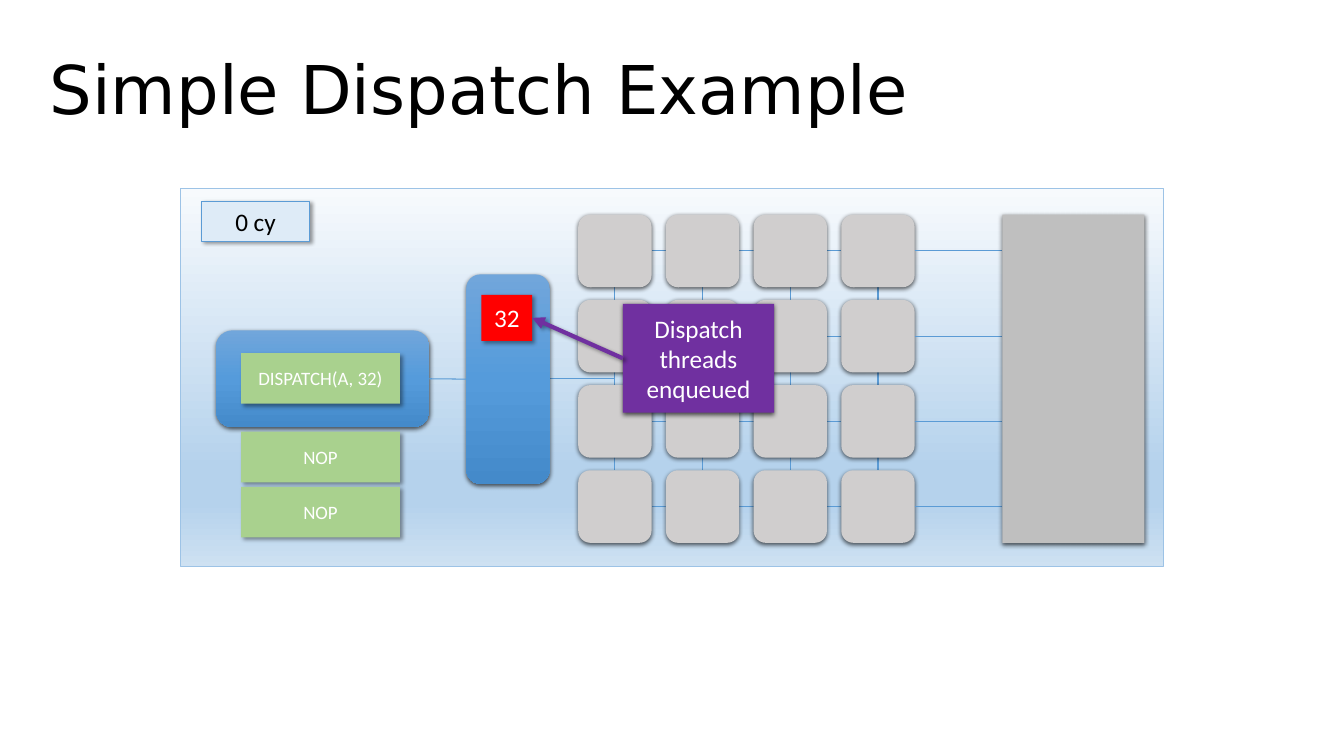
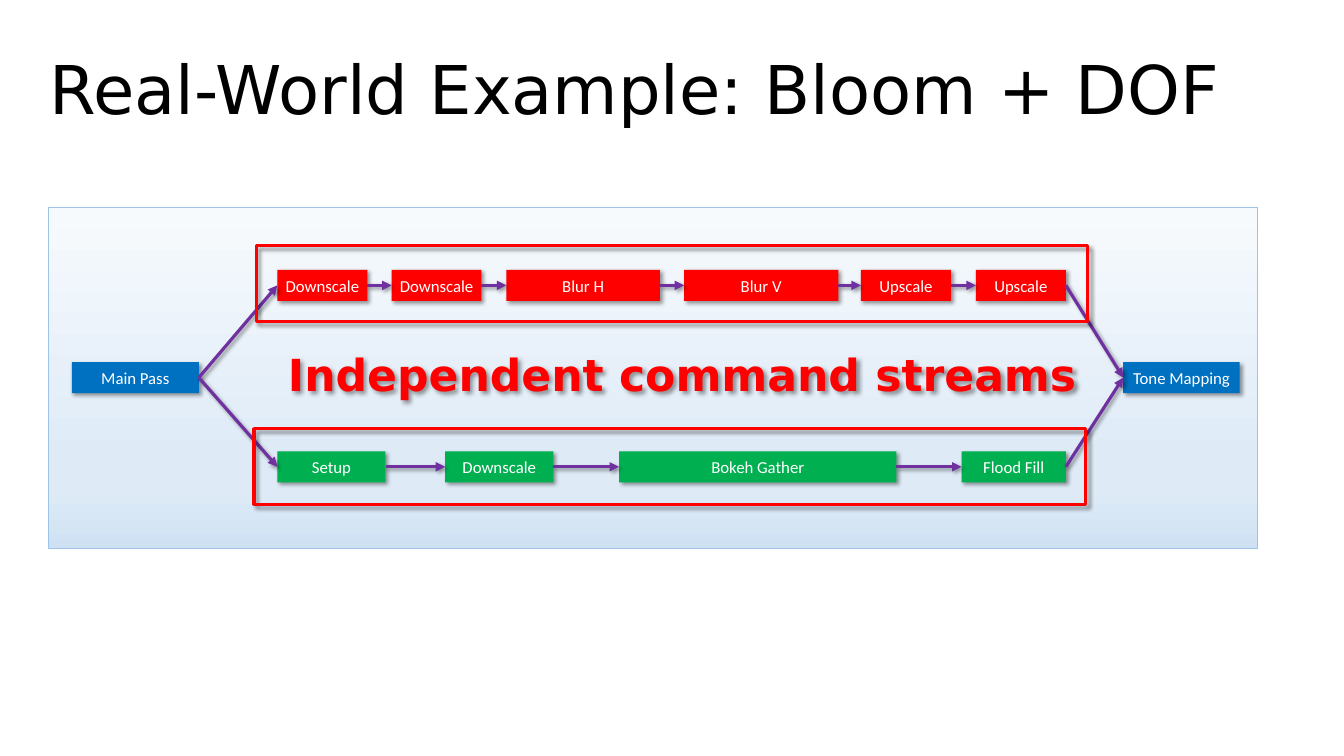
from pptx import Presentation
from pptx.dml.color import RGBColor
from pptx.enum.shapes import MSO_CONNECTOR, MSO_SHAPE
from pptx.enum.text import MSO_ANCHOR, PP_ALIGN
from pptx.oxml import parse_xml
from pptx.oxml.ns import nsdecls, qn
from pptx.util import Inches, Pt

BLACK = RGBColor(0x00, 0x00, 0x00)
WHITE = RGBColor(0xFF, 0xFF, 0xFF)
RED = RGBColor(0xFF, 0x00, 0x00)
GREEN = RGBColor(0x00, 0xB0, 0x50)
BLUE = RGBColor(0x00, 0x70, 0xC0)
PURPLE = RGBColor(0x70, 0x30, 0xA0)
WIRE = RGBColor(0x5B, 0x9B, 0xD5)
PANEL_EDGE = RGBColor(0x9D, 0xC3, 0xE6)
PALE_BLUE = RGBColor(0xDE, 0xEB, 0xF7)
COMMAND_GREEN = RGBColor(0xA9, 0xD1, 0x8E)
TILE_GRAY = RGBColor(0xD0, 0xCE, 0xCE)
MEMORY_GRAY = RGBColor(0xBF, 0xBF, 0xBF)

# Gradients run from top to bottom: (percent, colour)
SKY = [(0, "F7FAFD"), (74, "B5D2EC"), (83, "B5D2EC"), (100, "CEE1F2")]
PALE_SKY = [(0, "F7FAFD"), (74, "DEEBF7"), (83, "DEEBF7"), (100, "CEE1F2")]
UNIT_BLUE = [(0, "71A6DB"), (50, "559BDB"), (100, "448ACA")]

# Shadows: (opacity %, blur pt, distance pt, direction in degrees)
BELOW = (63, 4.5, 1.5, 90)
CORNER = (40, 4, 3, 45)

HEAD_FONT = "DejaVu Sans"
BODY_FONT = "Calibri"
RECT = MSO_SHAPE.RECTANGLE
ROUND = MSO_SHAPE.ROUNDED_RECTANGLE
EFFECTS = "<a:effectLst %s>{}</a:effectLst>" % nsdecls("a")
SHADOW = ('<a:outerShdw blurRad="{:.0f}" dist="{:.0f}" dir="{}" rotWithShape="0">'
          '<a:srgbClr val="000000"><a:alpha val="{}"/></a:srgbClr></a:outerShdw>')


def box(s, kind, at, fill=None, line=None, width=1, shadow=None, text="",
        size=16, color=WHITE, font=BODY_FONT, bold=False, align=PP_ALIGN.CENTER):
    """Add a shape, or a text box when kind is None; a list as fill is a gradient."""
    at = [Inches(v) for v in at]
    sp = s.shapes.add_shape(kind, *at) if kind else s.shapes.add_textbox(*at)
    if fill is None:
        sp.fill.background()
    elif isinstance(fill, list):
        sp.fill.gradient()
        sp.fill.gradient_angle = 270
        stops = sp.element.spPr.find(".//" + qn("a:gsLst"))
        stops.clear()
        for pos, rgb in fill:
            stops.append(parse_xml(f'<a:gs {nsdecls("a")} pos="{pos * 1000}">'
                                   f'<a:srgbClr val="{rgb}"/></a:gs>'))
    else:
        sp.fill.solid()
        sp.fill.fore_color.rgb = fill
    if line is None:
        sp.line.fill.background()
    else:
        sp.line.color.rgb = line
        sp.line.width = Pt(width)
    effect = ""
    if shadow:
        alpha, blur, dist, angle = shadow
        effect = SHADOW.format(blur * 12700, dist * 12700, angle * 60000, alpha * 1000)
    sp.element.spPr.append(parse_xml(EFFECTS.format(effect)))
    if text:
        tf = sp.text_frame
        tf.word_wrap = True
        tf.vertical_anchor = MSO_ANCHOR.MIDDLE
        p = tf.paragraphs[0]
        p.text = text
        p.alignment = align
        f = p.runs[0].font
        f.name, f.size, f.bold, f.color.rgb = font, Pt(size), bold, color
    return sp


def link(s, start, end, color=WIRE, width=1, arrow=False):
    """Draw a line; each end is a point (x, y) or a joint (shape, site)."""
    glued = [hasattr(e[0], "shape_id") for e in (start, end)]
    points = [(0, 0) if g else e for g, e in zip(glued, (start, end))]
    c = s.shapes.add_connector(MSO_CONNECTOR.STRAIGHT,
                               *[Inches(v) for point in points for v in point])
    if glued[0]:
        c.begin_connect(*start)
    if glued[1]:
        c.end_connect(*end)
    c.line.color.rgb = color
    c.line.width = Pt(width)
    effect = ""
    if arrow:
        c.element.spPr.find(qn("a:ln")).append(
            parse_xml(f'<a:tailEnd {nsdecls("a")} type="triangle"/>'))
        alpha, blur, dist, angle = CORNER
        effect = SHADOW.format(blur * 12700, dist * 12700, angle * 60000, alpha * 1000)
    c.element.spPr.append(parse_xml(EFFECTS.format(effect)))
    return c


prs = Presentation()
prs.slide_width, prs.slide_height = Inches(17.78), Inches(10)

slides = []
for title, panel, gradient in [
    ("Simple Dispatch Example", (2.39, 2.5, 13, 5), SKY),
    ("Real-World Example: Bloom + DOF", (0.64, 2.75, 16, 4.5), PALE_SKY),
]:
    s = prs.slides.add_slide(prs.slide_layouts[6])
    box(s, None, (0.56, 0.4, 16.83, 1.52), text=title, size=64, color=BLACK,
        font=HEAD_FONT, align=PP_ALIGN.LEFT)
    box(s, RECT, panel, gradient, PANEL_EDGE)
    slides.append(s)

# Slide 1: command front end, thread queue, 4 x 4 cores, memory
s = slides[0]
GRID_X, GRID_Y, STEP_X, STEP_Y = 7.65, 2.84, 1.16, 1.127
TILE_W, TILE_H, MEMORY_X = 0.97, 0.96, 13.26
mid_x = [GRID_X + STEP_X * i + TILE_W / 2 for i in range(4)]
mid_y = [GRID_Y + STEP_Y * i + TILE_H / 2 for i in range(4)]

# Wires lie behind the tiles and are joined to the outer ones
column_wires = [link(s, (x, mid_y[0]), (x, mid_y[3])) for x in mid_x]
row_wires = [link(s, (mid_x[0], y), (mid_x[3], y)) for y in mid_y]
for row in range(4):
    for col in range(4):
        tile = box(s, ROUND, (GRID_X + STEP_X * col, GRID_Y + STEP_Y * row, TILE_W, TILE_H),
                   TILE_GRAY, shadow=BELOW)
        if row == 0:
            column_wires[col].begin_connect(tile, 2)
        if row == 3:
            column_wires[col].end_connect(tile, 0)
        if col == 0:
            row_wires[row].begin_connect(tile, 3)
        if col == 3:
            row_wires[row].end_connect(tile, 1)
            link(s, (tile, 3), (MEMORY_X, mid_y[row]))

link(s, (8.14, 5.01), (6.2, 5.01))
front_end = box(s, ROUND, (2.86, 4.37, 2.82, 1.28), UNIT_BLUE, shadow=BELOW)
for y, command in [(5.71, "NOP"), (6.44, "NOP"), (4.67, "DISPATCH(A, 32)")]:
    box(s, RECT, (3.19, y, 2.1, 0.67), COMMAND_GREEN, shadow=CORNER, text=command, size=18)
box(s, RECT, (2.67, 2.66, 1.42, 0.53), PALE_BLUE, WIRE, shadow=CORNER,
    text="0 cy", size=24, color=BLACK)
box(s, RECT, (MEMORY_X, 2.84, 1.88, 4.34), MEMORY_GRAY, shadow=BELOW)
queue = box(s, ROUND, (6.17, 3.63, 1.1, 2.77), UNIT_BLUE, shadow=BELOW)
link(s, (queue, 1), (front_end, 3))
threads = box(s, RECT, (6.37, 3.9, 0.67, 0.61), RED, shadow=CORNER, text="32", size=24)
callout = box(s, RECT, (8.24, 4.02, 2, 1.44), PURPLE, shadow=BELOW,
              text="Dispatch threads enqueued", size=24)
link(s, (callout, 1), (threads, 3), PURPLE, 4, arrow=True)

# Slide 2: two command streams between the main pass and tone mapping
s = slides[1]
PASS_H = 0.41
main_pass = box(s, RECT, (0.95, 4.79, 1.68, PASS_H), BLUE, shadow=CORNER, text="Main Pass")
tone_mapping = box(s, RECT, (14.86, 4.79, 1.54, PASS_H), BLUE, shadow=CORNER,
                   text="Tone Mapping")
bloom = [("Downscale", 3.67, 1.19), ("Downscale", 5.18, 1.19), ("Blur H", 6.7, 2.03),
         ("Blur V", 9.05, 2.04), ("Upscale", 11.39, 1.19), ("Upscale", 12.91, 1.19)]
dof = [("Setup", 3.67, 1.43), ("Downscale", 5.89, 1.43), ("Bokeh Gather", 8.19, 3.67),
       ("Flood Fill", 12.72, 1.38)]
for y, color, passes, frame in [(3.57, RED, bloom, (3.39, 3.25, 11, 1)),
                                (5.97, GREEN, dof, (3.36, 5.67, 11, 1))]:
    stream = [box(s, RECT, (x, y, w, PASS_H), color, shadow=CORNER, text=name)
              for name, x, w in passes]
    chain = [main_pass, *stream, tone_mapping]
    for before, after in zip(chain, chain[1:]):
        link(s, (before, 3), (after, 1), PURPLE, 3, arrow=True)
    box(s, RECT, frame, line=RED, width=3, shadow=CORNER)
box(s, None, (3.71, 4.54, 10.75, 0.81), shadow=CORNER, text="Independent command streams",
    size=42, color=RED, font=HEAD_FONT, bold=True, align=PP_ALIGN.LEFT)

prs.save("out.pptx")
